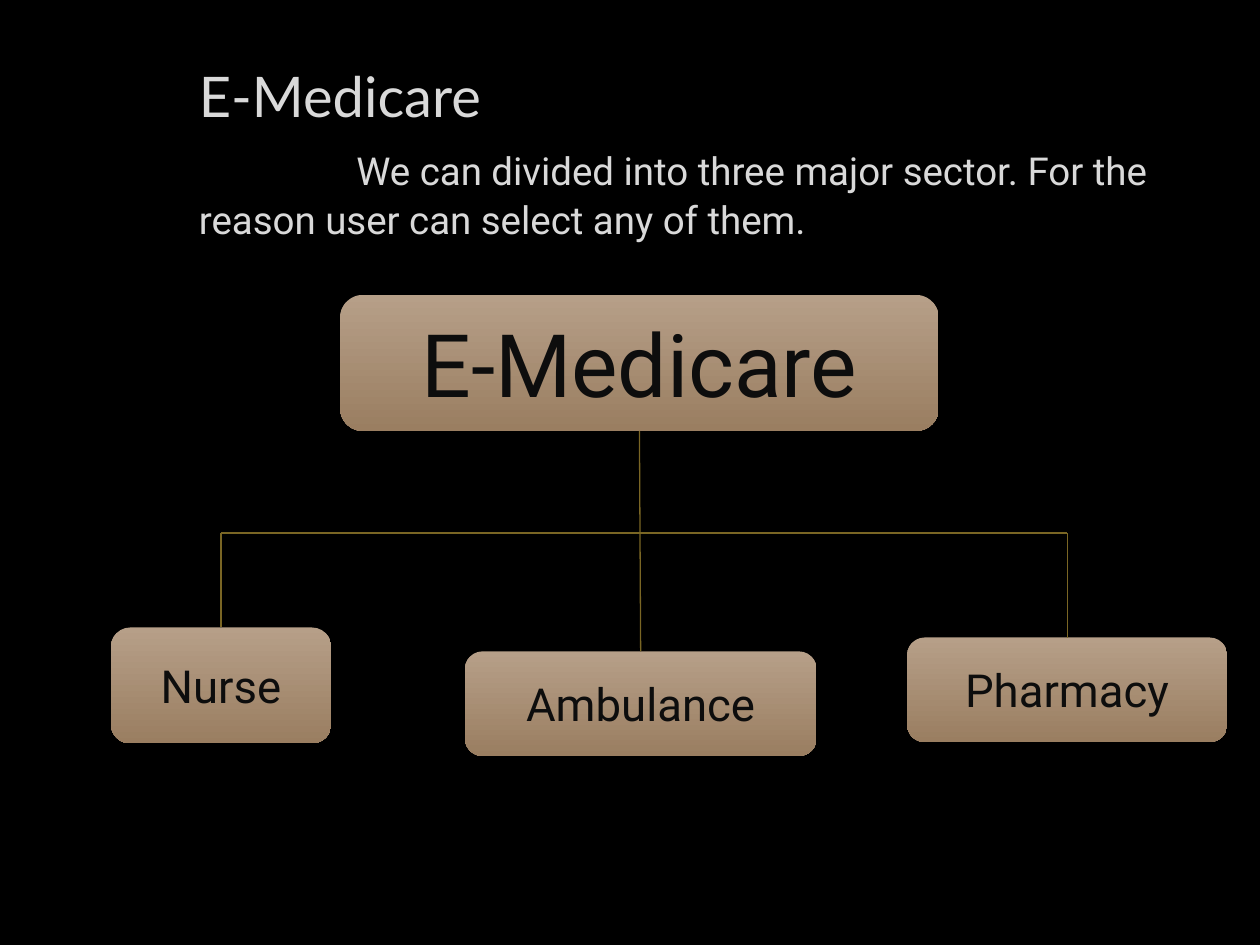
from lxml import etree
from pptx import Presentation
from pptx.dml.color import RGBColor
from pptx.enum.shapes import MSO_CONNECTOR, MSO_SHAPE
from pptx.enum.text import MSO_ANCHOR, PP_ALIGN
from pptx.oxml.ns import qn
from pptx.util import Inches, Pt

ROUNDED = MSO_SHAPE.ROUNDED_RECTANGLE
STRAIGHT = MSO_CONNECTOR.STRAIGHT
MIDDLE = MSO_ANCHOR.MIDDLE
CENTER = PP_ALIGN.CENTER

BLACK = RGBColor(0x00, 0x00, 0x00)
LIGHT_TAN = RGBColor(0xB6, 0x9F, 0x88)
DARK_TAN = RGBColor(0x9A, 0x7E, 0x61)
BOX_TEXT = RGBColor(0x0D, 0x0D, 0x0D)
LIGHT_GRAY = RGBColor(0xD9, 0xD9, 0xD9)
LINE_GOLD = RGBColor(0x7A, 0x66, 0x24)

TOP, BOTTOM = 0, 2
BRANCH_Y = 4.23
SECTORS = [
    ("Nurse", 0.88, 4.98, 1.75, 0.92),
    ("Ambulance", 3.69, 5.17, 2.79, 0.83),
    ("Pharmacy", 7.2, 5.06, 2.54, 0.83),
]


def format_paragraph(paragraph, font_name, size, color):
    for run in paragraph.runs:
        run.font.name = font_name
        run.font.size = Pt(size)
        run.font.color.rgb = color


def add_box(slide, text, left, top, width, height, size=26):
    shape = slide.shapes.add_shape(
        ROUNDED, Inches(left), Inches(top), Inches(width), Inches(height))
    shape.shadow.inherit = False
    shape.line.fill.background()
    shape.fill.gradient()
    shape.fill.gradient_angle = 270
    for stop, color in zip(shape.fill.gradient_stops, (LIGHT_TAN, DARK_TAN)):
        stop.color.rgb = color
    text_frame = shape.text_frame
    text_frame.text = text
    text_frame.vertical_anchor = MIDDLE
    paragraph = text_frame.paragraphs[0]
    paragraph.alignment = CENTER
    format_paragraph(paragraph, "Roboto", size, BOX_TEXT)
    return shape


def add_line(slide, start_x, start_y, end_x, end_y):
    """Draw a thin gold line between two points given as lengths."""
    line = slide.shapes.add_connector(STRAIGHT, start_x, start_y, end_x, end_y)
    line.line.color.rgb = LINE_GOLD
    line.line.width = Pt(0.75)
    etree.SubElement(line._element.spPr, qn("a:effectLst"))
    return line


def center_x(shape):
    return shape.left + shape.width // 2


def add_branches(slide, root, sectors):
    """Join the root to the middle sector and hang the outer ones on a bar."""
    nurse, ambulance, pharmacy = sectors
    branch_y = Inches(BRANCH_Y)
    for sector in (nurse, pharmacy):
        drop = add_line(slide, center_x(sector), branch_y,
                        center_x(sector), sector.top)
        drop.end_connect(sector, TOP)
    add_line(slide, center_x(nurse), branch_y, center_x(pharmacy), branch_y)
    trunk = add_line(slide, center_x(ambulance), ambulance.top,
                     center_x(root), root.top + root.height)
    trunk.begin_connect(ambulance, TOP)
    trunk.end_connect(root, BOTTOM)


def add_introduction(slide):
    text_box = slide.shapes.add_textbox(
        Inches(1.48), Inches(0.44), Inches(8.02), Inches(1.55))
    text_frame = text_box.text_frame
    text_frame.word_wrap = True
    heading = text_frame.paragraphs[0]
    heading.text = "E-Medicare"
    format_paragraph(heading, "Lato", 32, LIGHT_GRAY)
    body = text_frame.add_paragraph()
    body.text = ("We can divided into three major sector. "
                 "For the reason user can select any of them.")
    body.line_spacing = Pt(28)
    body.space_before = Pt(9)
    body._p.get_or_add_pPr().set("indent", str(Inches(1.25)))
    format_paragraph(body, "Roboto", 22, LIGHT_GRAY)


def main():
    presentation = Presentation()
    presentation.slide_width = Inches(10)
    presentation.slide_height = Inches(7.5)
    slide = presentation.slides.add_slide(presentation.slide_layouts[6])
    slide.background.fill.solid()
    slide.background.fill.fore_color.rgb = BLACK

    sectors = [add_box(slide, *sector) for sector in SECTORS]
    root = add_box(slide, "E-Medicare", 2.7, 2.34, 4.75, 1.08, size=50)
    add_branches(slide, root, sectors)
    add_introduction(slide)
    presentation.save("out.pptx")


if __name__ == "__main__":
    main()
